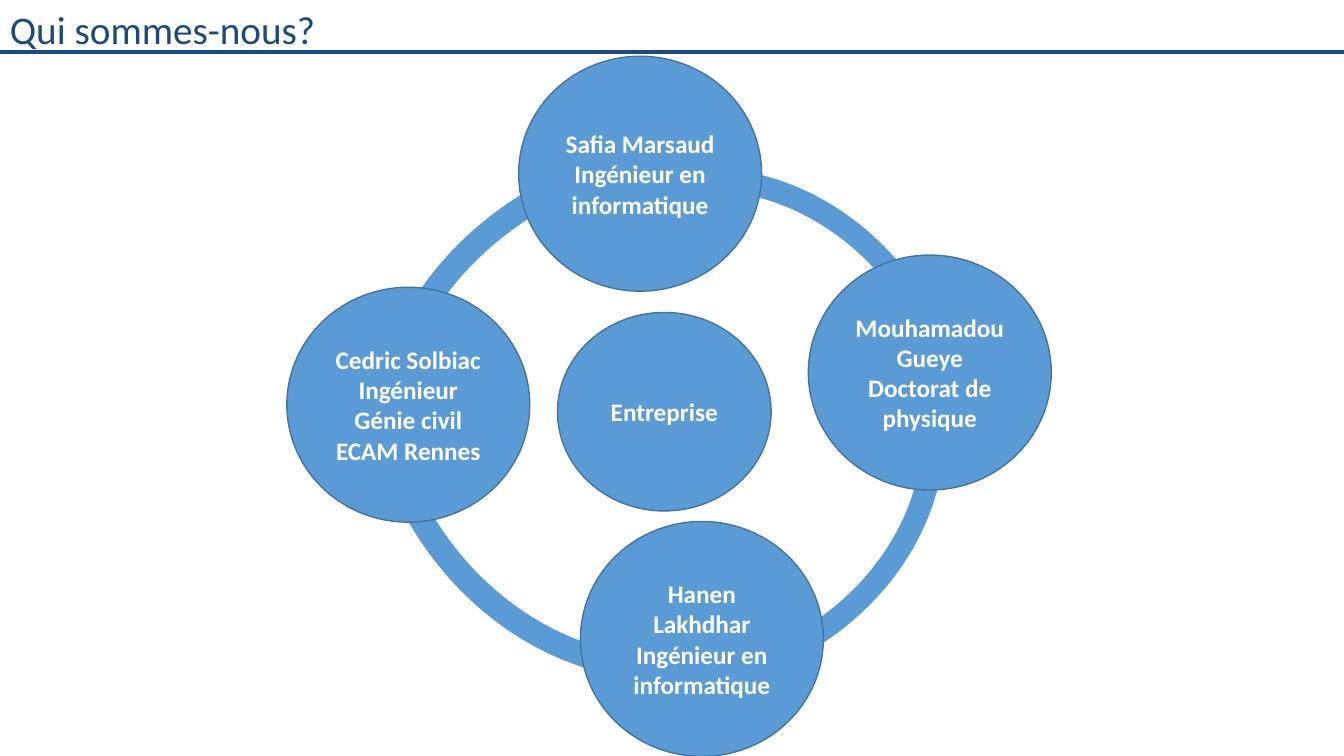
from lxml import etree
from pptx import Presentation
from pptx.dml.color import RGBColor
from pptx.enum.shapes import MSO_CONNECTOR, MSO_SHAPE
from pptx.enum.text import MSO_ANCHOR, PP_ALIGN
from pptx.oxml.ns import qn
from pptx.util import Pt

COLORS = {"navy": "1F497D", "blue": "5B9BD5", "edge": "43739E", "white": "FFFFFF"}
SLIDE_W, SLIDE_H = 960, 540
MEMBER_SIZE = (173.5, 167.8)
CENTER_SIZE = (152.6, 141.8)

# left, top, width, height, rotation, start angle
ARCS = [
    (280, 144, 396.7, 350, 164.5, 120.29),
    (319, 141, 396.7, 350, 71, 118.8),
    (236.2, 85.7, 432.7, 376.6, 245, 116.77),
    (257.8, 109.4, 432.7, 376.6, 332.2, 124.93),
]
ARC_END, ARC_THICKNESS = 162, 0.046

MEMBERS = [
    (577.4, 182.2, ["Mouhamadou Gueye", "Doctorat de physique"]),
    (370.5, 40.2, ["Safia Marsaud", "Ingénieur en informatique"]),
    (204.9, 205.2, ["Cedric Solbiac", "Ingénieur Génie civil ECAM Rennes"]),
    (414.6, 372.5, ["Hanen Lakhdhar", "Ingénieur en informatique"]),
]


def rgb(name):
    return RGBColor.from_string(COLORS[name])


def write(tf, lines, size=18, color="white", bold=False,
          align=PP_ALIGN.LEFT, anchor=MSO_ANCHOR.TOP):
    tf.word_wrap = True
    tf.vertical_anchor = anchor
    for i, line in enumerate(lines):
        p = tf.add_paragraph() if i else tf.paragraphs[0]
        p.alignment = align
        r = p.add_run()
        r.text = line
        r.font.name = "Calibri"
        r.font.size = Pt(size)
        r.font.bold = bold
        r.font.color.rgb = rgb(color)


def add_blue_shape(s, kind, left, top, width, height):
    sp = s.shapes.add_shape(kind, Pt(left), Pt(top), Pt(width), Pt(height))
    sp.shadow.inherit = False
    sp.fill.solid()
    sp.fill.fore_color.rgb = rgb("blue")
    return sp


def add_arc(s, left, top, width, height, rotation, start):
    sp = add_blue_shape(s, MSO_SHAPE.BLOCK_ARC, left, top, width, height)
    sp.line.fill.background()
    sp.rotation = rotation
    for i, value in enumerate((start, ARC_END, ARC_THICKNESS)):
        sp.adjustments[i] = value


def add_circle(s, left, top, size, lines):
    sp = add_blue_shape(s, MSO_SHAPE.OVAL, left, top, *size)
    sp.line.color.rgb = rgb("edge")
    sp.line.width = Pt(1)
    write(sp.text_frame, lines, bold=True, align=PP_ALIGN.CENTER,
          anchor=MSO_ANCHOR.MIDDLE)


def add_title(s, text):
    box = s.shapes.add_textbox(0, 0, Pt(287), Pt(41))
    write(box.text_frame, [text], size=28, color="navy")


def add_rule(s, y):
    line = s.shapes.add_connector(MSO_CONNECTOR.STRAIGHT, 0, Pt(y), Pt(SLIDE_W), Pt(y))
    line.line.color.rgb = rgb("navy")
    line.line.width = Pt(3)
    etree.SubElement(line._element.spPr, qn("a:effectLst"))


def main():
    prs = Presentation()
    prs.slide_width, prs.slide_height = Pt(SLIDE_W), Pt(SLIDE_H)
    s = prs.slides.add_slide(prs.slide_layouts[6])
    add_title(s, "Qui sommes-nous?")
    add_rule(s, 37.4)
    for arc in ARCS:
        add_arc(s, *arc)
    for left, top, lines in MEMBERS:
        add_circle(s, left, top, MEMBER_SIZE, lines)
    add_circle(s, 398.2, 223.2, CENTER_SIZE, ["Entreprise"])
    prs.save("out.pptx")


if __name__ == "__main__":
    main()
